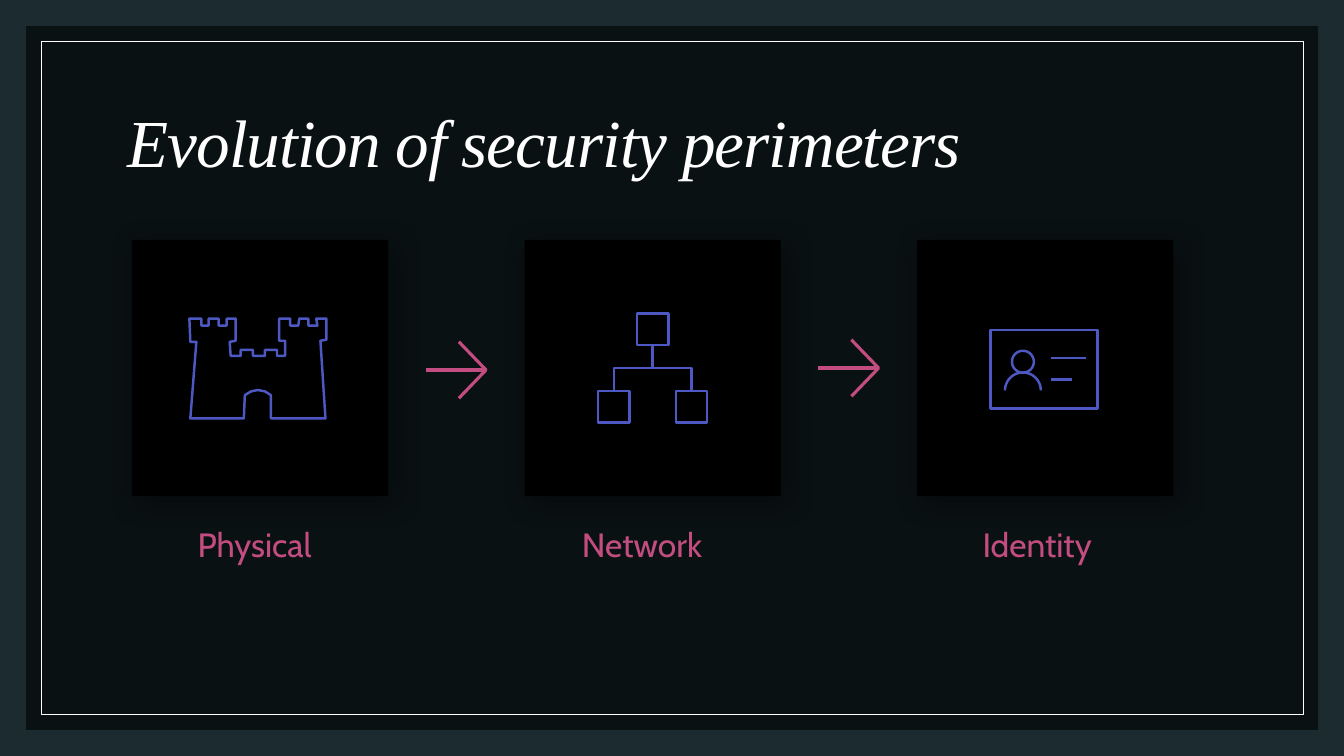
from math import cos, pi, sin

from lxml.etree import SubElement
from pptx import Presentation
from pptx.dml.color import RGBColor
from pptx.enum.shapes import MSO_SHAPE as Preset
from pptx.enum.text import MSO_ANCHOR as Anchor
from pptx.oxml.ns import qn
from pptx.util import Pt

COLORS = {
    "background": "1B2B30",
    "panel": "000000",
    "frame": "FFFFFF",
    "title": "FFFFFF",
    "icon": "4D58C3",
    "accent": "C34D80",
}

SLIDE_WIDTH, SLIDE_HEIGHT = 960, 540
TILE_SIZE = 183
TILE_LEFT, TILE_TOP, TILE_PITCH = 94.3, 171.4, 280.4

CASTLE = [
    (0.7, 71.3), (38.9, 71.3), (39.6, 54.7), (44, 52), (49, 51), (54, 52),
    (58.3, 54.7), (58.3, 71.3), (97.2, 71.3), (93.6, 15.8), (97.9, 15.1),
    (97.9, 0), (90.7, 0), (91.4, 5), (85, 5), (85, 0), (78.5, 0), (77.8, 5),
    (72, 5), (72, 0), (64.1, 0), (64.1, 15.8), (68.4, 15.8), (68.4, 26.6),
    (62.6, 26.6), (62.6, 22.3), (54, 22.3), (54, 26.6), (45.4, 26.6),
    (45.4, 22.3), (36.7, 22.3), (36.7, 26.6), (29.5, 26.6), (28.8, 16.6),
    (33.1, 15.8), (33.1, 0), (26.6, 0), (26.6, 5), (20.9, 5), (20.9, 0),
    (13.7, 0), (13.7, 5), (8.6, 5), (8.6, 0), (0, 0), (0.7, 16.6), (5, 16.6),
    (0.7, 71.3),
]


def color(name):
    return RGBColor.from_string(COLORS[name])


def add_rectangle(slide, left, top, width, height, fill=None, line=None):
    shape = slide.shapes.add_shape(
        Preset.RECTANGLE, Pt(left), Pt(top), Pt(width), Pt(height))
    shape.shadow.inherit = False
    if fill:
        shape.fill.solid()
        shape.fill.fore_color.rgb = color(fill)
    else:
        shape.fill.background()
    if line:
        shape.line.color.rgb = color(line)
        shape.line.width = Pt(0.5)
    else:
        shape.line.fill.background()
    return shape


def add_alpha(parent, percent):
    SubElement(parent, qn("a:alpha")).set("val", str(percent * 1000))


def add_outline(slide, left, top, strokes, line, width):
    builder = None
    for stroke in strokes:
        points = [(Pt(left + x), Pt(top + y)) for x, y in stroke]
        if builder is None:
            builder = slide.shapes.build_freeform(*points[0])
        else:
            builder.move_to(*points[0])
        builder.add_line_segments(points[1:], close=stroke[0] == stroke[-1])
    shape = builder.convert_to_shape()
    shape.shadow.inherit = False
    shape.fill.background()
    shape.line.color.rgb = color(line)
    shape.line.width = Pt(width)


def add_text(slide, left, top, width, height, text, font, size, name, insets):
    box = slide.shapes.add_textbox(Pt(left), Pt(top), Pt(width), Pt(height))
    frame = box.text_frame
    frame.word_wrap = True
    frame.margin_left = frame.margin_right = Pt(insets[0])
    frame.margin_top = frame.margin_bottom = Pt(insets[1])
    paragraph = frame.paragraphs[0]
    paragraph.line_spacing = 0.9
    run = paragraph.add_run()
    run.text = text
    run.font.name = font
    run.font.size = Pt(size)
    run.font.color.rgb = color(name)
    return frame, run


def square(left, top, width, height):
    right, bottom = left + width, top + height
    return [(left, top), (right, top), (right, bottom), (left, bottom), (left, top)]


def arc(center_x, center_y, radius, start, end, steps):
    angles = [start + (end - start) * step / steps for step in range(steps + 1)]
    return [(round(center_x + radius * cos(angle), 2),
             round(center_y + radius * sin(angle), 2)) for angle in angles]


def draw_castle(slide, left, top):
    add_outline(slide, left + 41, top + 56.2, [CASTLE], "icon", 1.75)


def draw_network(slide, left, top):
    node, step = 22.4, 27.7
    half = node / 2
    middle, bus, bottom = step + half, 38.9, 2 * step
    strokes = [square(x, y, node, node)
               for x, y in ((0, bottom), (bottom, bottom), (step, 0))]
    strokes.append([(middle, node), (middle, bus)])
    strokes.append([(bottom + half, bottom), (bottom + half, bus),
                    (half, bus), (half, bottom)])
    add_outline(slide, left + 52.6, top + 52.6, strokes, "icon", 1.75)


def draw_card(slide, left, top):
    strokes = [
        square(0, 0, 76.2, 56),
        [(43.2, 20.2), (68.4, 20.2)],
        [(43.2, 35.3), (58.3, 35.3)],
        arc(23, 22.7, 7.8, 0, 2 * pi, 48),
        arc(23, 43.2, 12.8, pi, 2 * pi, 32),
    ]
    add_outline(slide, left + 52.6, top + 64.3, strokes, "icon", 1.75)


def draw_arrow(slide, left, top):
    tip = (43.2, 20.2)
    strokes = [[(23.8, 0), tip, (23.8, 40.4)], [tip, (0, 20.2)]]
    add_outline(slide, left, top, strokes, "accent", 2.25)


def draw_stage(slide, left, top, label, label_shift, draw_icon):
    tile = add_rectangle(slide, left, top, TILE_SIZE, TILE_SIZE, "panel")
    effects = tile._element.spPr.find(qn("a:effectLst"))
    shadow = SubElement(effects, qn("a:outerShdw"), blurRad=str(Pt(20)),
                        dist=str(Pt(6)), dir=str(45 * 60000), rotWithShape="0")
    shade = SubElement(shadow, qn("a:srgbClr"), val=COLORS["panel"])
    add_alpha(shade, 40)
    draw_icon(slide, left, top)
    add_text(slide, left + label_shift, top + 194.4, 130, 49.7, label,
             "Cabin", 24, "accent", (14.4, 11.5))


def draw_background(slide):
    slide.background.fill.solid()
    slide.background.fill.fore_color.rgb = color("background")
    panel = add_rectangle(slide, 18.7, 18.7, 922.8, 502.6, "panel")
    add_alpha(panel._element.spPr.find(qn("a:solidFill"))[0], 60)
    add_rectangle(slide, 29.5, 29.5, 901.4, 481, line="frame")


def draw_title(slide, left, top, width, height):
    frame, run = add_text(slide, left, top, width, height,
                          "Evolution of security perimeters",
                          "Times New Roman", 48, "title", (7.2, 3.6))
    frame.vertical_anchor = Anchor.MIDDLE
    run.font.italic = True
    run._r.get_or_add_rPr().set("spc", "-70")


def main():
    presentation = Presentation()
    presentation.slide_width = Pt(SLIDE_WIDTH)
    presentation.slide_height = Pt(SLIDE_HEIGHT)
    slide = presentation.slides.add_slide(presentation.slide_layouts[6])
    draw_background(slide)
    draw_title(slide, 84.2, 50.4, 792, 108)
    stages = [
        ("Physical", 32.4, draw_castle),
        ("Network", 26.6, draw_network),
        ("Identity", 32.4, draw_card),
    ]
    for index, stage in enumerate(stages):
        draw_stage(slide, TILE_LEFT + index * TILE_PITCH, TILE_TOP, *stage)
    for index, drop in enumerate((72.7, 71.3)):
        left = TILE_LEFT + index * TILE_PITCH + TILE_SIZE + 26.7
        draw_arrow(slide, left, TILE_TOP + drop)
    presentation.save("out.pptx")


if __name__ == "__main__":
    main()
